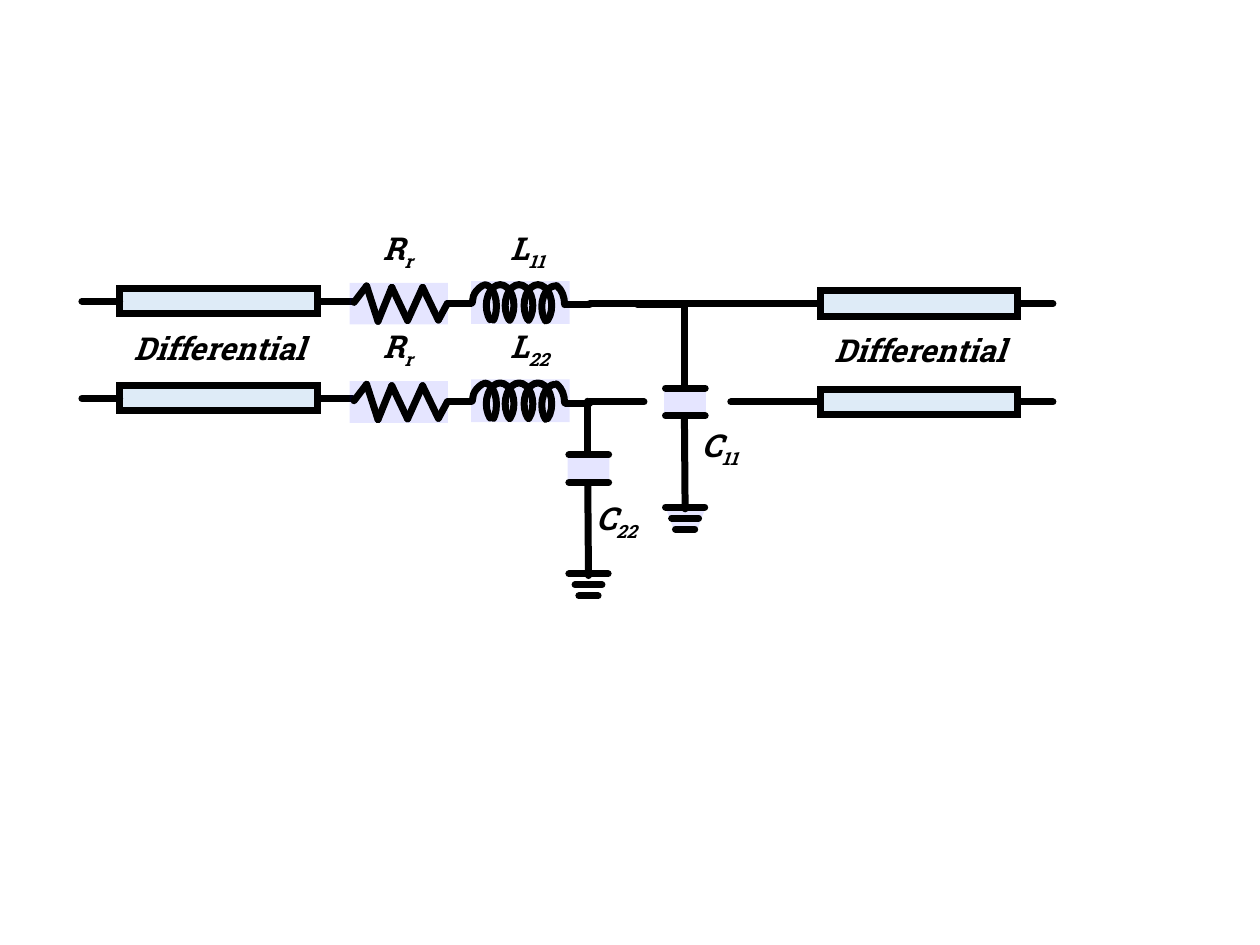
from lxml.etree import SubElement
from pptx import Presentation
from pptx.dml.color import RGBColor
from pptx.enum.shapes import MSO_CONNECTOR as Conn, MSO_SHAPE as Kind
from pptx.enum.text import MSO_AUTO_SIZE as Auto, PP_ALIGN as Align
from pptx.oxml.ns import qn
from pptx.util import Pt

COLORS = {"ink": "000000", "bar": "DEEBF7", "tint": "0000FF"}
FONT = "Roboto Slab"
ZIGZAG = [(0, 0), (7.2, -9.4), (13.7, 10.8), (21.6, -8.6),
          (30.6, 10.4), (39.2, -8.6), (48.2, 10.1), (53.3, 0.7)]
COILS = [
    ((0, 0, 13.7, 24.5), (162.44, 34.2)),
    ((7.9, 0, 15.8, 23.8), (75.12, 34.2)),
    ((18.7, 0, 15.8, 23.8), (75.12, 34.2)),
    ((29.5, 0, 15.8, 23.8), (75.12, 34.2)),
    ((39.6, 0.7, 15.8, 23.8), (75.12, 160.15)),
    ((0, -2.2, 31.7, 23.8), (106.91, 133.47)),
    ((36, -0.7, 16.6, 23.8), (107.4, 150.8)),
]


def paint(name):
    """Return the named colour."""
    return RGBColor.from_string(COLORS[name])


def stroke(item, join="round"):
    """Give an item the thick black line."""
    item.line.color.rgb = paint("ink")
    item.line.width = Pt(4)
    line = item.line._get_or_add_ln()
    if join == "round":
        line.set("cap", "rnd")
    SubElement(line, qn("a:" + join))


def wire(slide, x1, y1, x2, y2, kind=Conn.STRAIGHT):
    """Draw a wire between two points."""
    item = slide.shapes.add_connector(kind, Pt(x1), Pt(y1), Pt(x2), Pt(y2))
    stroke(item)
    SubElement(item.element.spPr, qn("a:effectLst"))
    return item


def block(slide, kind, x, y, w, h):
    """Add a preset shape without shadow."""
    item = slide.shapes.add_shape(kind, Pt(x), Pt(y), Pt(w), Pt(h))
    item.shadow.inherit = False
    return item


def tint(slide, x, y, w, h, turn=0, kind=Kind.RECTANGLE):
    """Add a pale see-through patch."""
    item = block(slide, kind, x, y, w, h)
    item.rotation = turn
    item.fill.solid()
    item.fill.fore_color.rgb = paint("tint")
    color = item.element.spPr.find(".//" + qn("a:srgbClr"))
    SubElement(color, qn("a:alpha")).set("val", "10000")
    item.line.fill.background()
    return item


def label(slide, x, y, w, h, text, sub="", wrap=False, align=None):
    """Write a bold italic label with an optional subscript."""
    frame = slide.shapes.add_textbox(Pt(x), Pt(y), Pt(w), Pt(h)).text_frame
    frame.word_wrap = wrap
    frame.auto_size = Auto.SHAPE_TO_FIT_TEXT
    para = frame.paragraphs[0]
    para.text = text
    para.alignment = align
    if sub:
        run = para.add_run()
        run.text = sub
        run._r.get_or_add_rPr().set("baseline", "-25000")
    for run in para.runs:
        font = run.font
        font.name, font.size = FONT, Pt(18)
        font.bold = font.italic = True
        font.color.rgb = paint("ink")


def pair(slide, x, y, gap, leads):
    """Draw two line bars with leads and their shared label."""
    for row, start in enumerate(leads):
        top = y + row * gap
        mid = top + 7.2
        bar = block(slide, Kind.RECTANGLE, x, top, 113, 14.4)
        bar.fill.solid()
        bar.fill.fore_color.rgb = paint("bar")
        stroke(bar, "miter")
        wire(slide, x + 114.5, mid, x + 133, mid)
        wire(slide, start, mid, x, mid)
    label(slide, x - 6.5, y + 19.4, 126.7, 28.8, "Differential",
          align=Align.CENTER)


def coil(slide, x, y, sub):
    """Draw an inductor with its label."""
    tint(slide, x + 15.1, y - 18, 24.5, 56.2, 270)
    label(slide, x + 14.4, y - 35.3, 45.4, 31, "L", sub)
    for (dx, dy, w, h), ends in COILS:
        arc = block(slide, Kind.ARC, x + dx, y + dy, w, h)
        arc.adjustments[0], arc.adjustments[1] = ends
        arc.fill.background()
        stroke(arc)
    arc.rotation = 180
    arc.element.spPr.xfrm.set("flipV", "1")


def branch(slide, x, y, sub):
    """Draw a resistor and an inductor in series."""
    coil(slide, x + 67.7, y - 10.1, sub)
    tint(slide, x + 13.7, y - 27.4, 23.8, 56.2, 270)
    for (x1, y1), (x2, y2) in zip(ZIGZAG, ZIGZAG[1:]):
        wire(slide, x + x1, y + y1, x + x2, y + y2)
    label(slide, x + 9.4, y - 45.4, 36, 31, "R", "r")
    wire(slide, x + 53.3, y + 0.7, x + 67, y + 0.7)
    wire(slide, x + 121, y + 1.4, x + 134.6, y + 1.4)


def shunt(slide, x, y, sub, dx, dy, shade=False):
    """Draw a capacitor to ground, with its label at an offset."""
    mid = x + 11.5
    tint(slide, x, y, 23.8, 16.6)
    for top in (y, y + 15.8):
        wire(slide, x + 0.7, top, x + 23.4, top)
    wire(slide, mid, y - 2, mid, y - 30.6)
    label(slide, x + dx, y + dy, 47.5, 31, "C", sub, wrap=True)
    base = y + 68
    if shade:
        cone = tint(slide, x + 0.7, base, 23, 13, kind=Kind.TRAPEZOID)
        cone.adjustments[0] = 0.37
        cone.element.spPr.xfrm.set("flipV", "1")
    for step, half in enumerate((11.2, 7.7, 5.5)):
        top = base + step * 6.3
        wire(slide, mid + 0.4 - half, top, mid + 0.4 + half, top)
    wire(slide, mid, y + 17.3, mid + 0.4, base + 1)


def elbow(slide, x, y, w, h):
    """Draw the corner wire running up and then left in its box."""
    left, top = x + (w - h) / 2, y + (h - w) / 2
    item = wire(slide, left, top, left + h, top + w, Conn.ELBOW)
    shape = item.element.spPr
    shape.find(qn("a:prstGeom")).set("prst", "bentConnector2")
    shape.xfrm.set("rot", "16200000")
    shape.xfrm.set("flipV", "1")


def main():
    """Build the circuit slide."""
    deck = Presentation()
    deck.slide_width, deck.slide_height = Pt(720), Pt(540)
    slide = deck.slides.add_slide(deck.slide_layouts[6])
    pair(slide, 68.4, 164.9, 55.6, (46.8, 46.8))
    elbow(slide, 364.3, 174.2, 26.6, 47.5)
    for row, sub in enumerate(("11", "22")):
        branch(slide, 202.3, 172.8 + row * 56.2, sub)
    shunt(slide, 379.6, 221.8, "11", 14.2, 18, shade=True)
    shunt(slide, 324.4, 259.9, "22", 9, 21.6)
    pair(slide, 468.7, 166.3, 56.2, (337, 417.6))
    wire(slide, 337, 229.7, 368, 229.7)
    deck.save("out.pptx")


if __name__ == "__main__":
    main()
